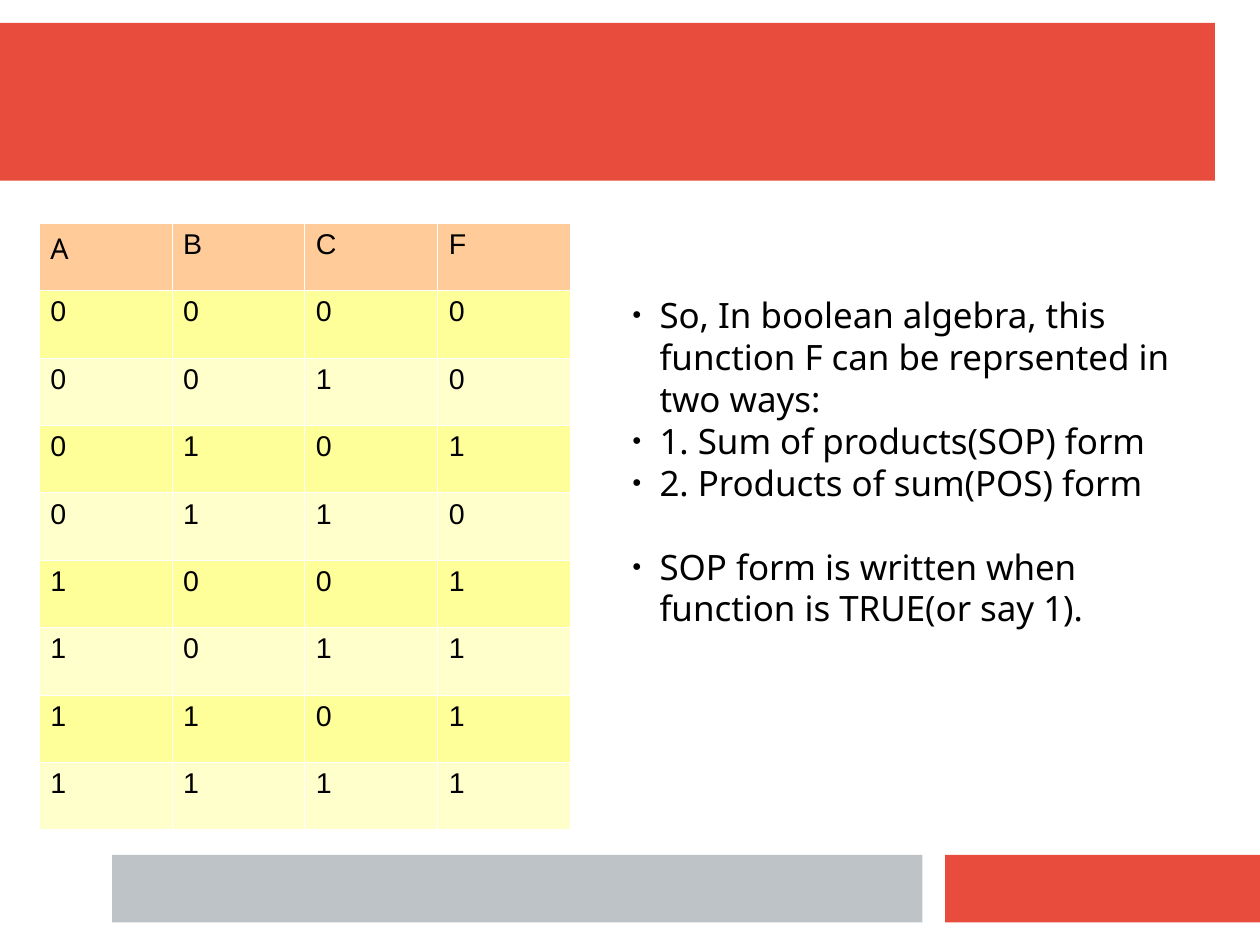
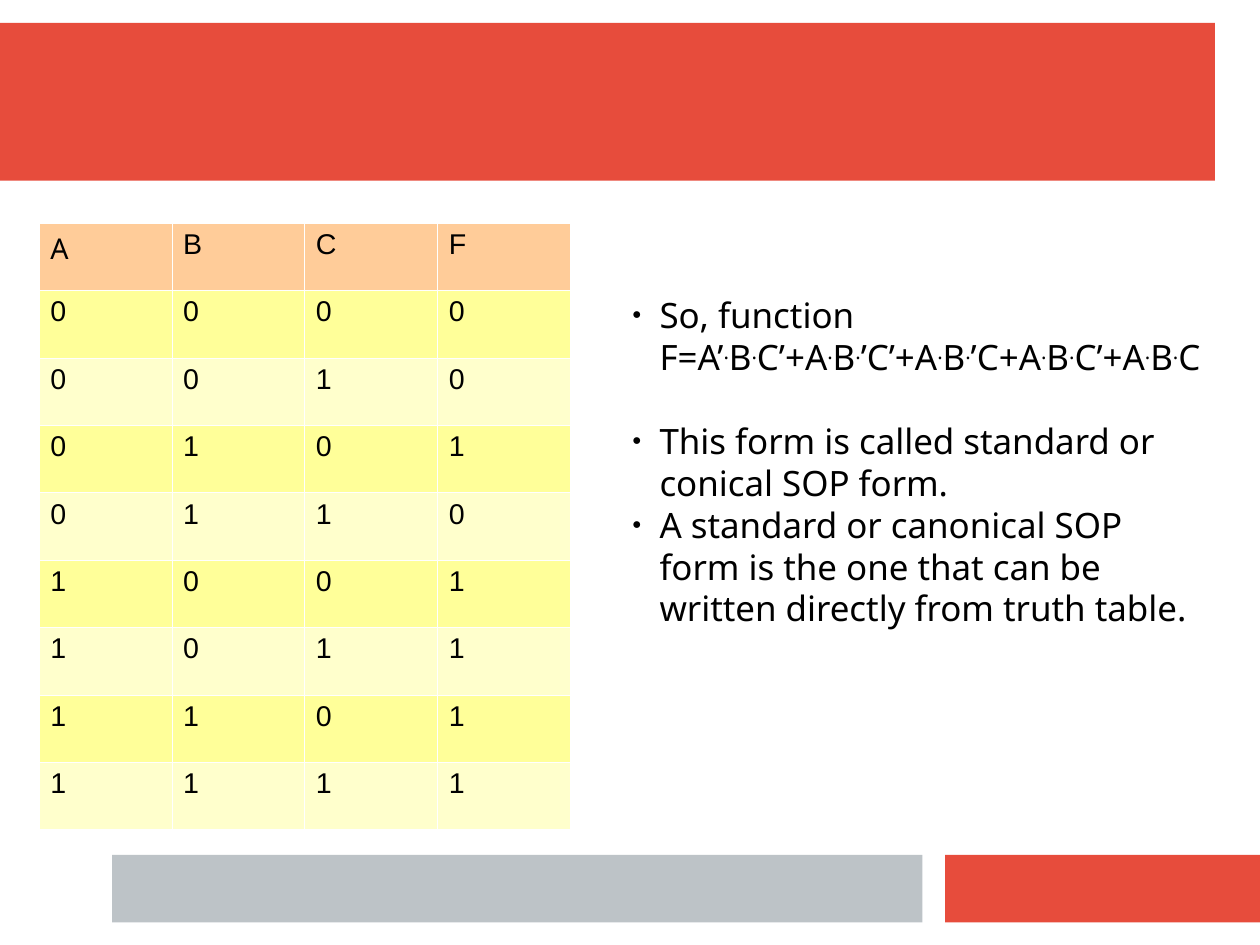
"""Builds two slides on the sum-of-products form of a truth table."""
from itertools import product

from lxml import etree
from pptx import Presentation
from pptx import util as u
from pptx.dml.color import RGBColor
from pptx.enum import shapes, text
from pptx.oxml.ns import qn

RED = RGBColor(0xE7, 0x4C, 0x3C)
GREY = RGBColor(0xBD, 0xC3, 0xC7)
BLACK = RGBColor(0, 0, 0)
WHITE = RGBColor(0xFF, 0xFF, 0xFF)
PEACH = RGBColor(0xFF, 0xCC, 0x99)
YELLOW = RGBColor(0xFF, 0xFF, 0x99)
CREAM = RGBColor(0xFF, 0xFF, 0xCC)

CM_PER_INCH = 2.54
SLIDE_SIZE = (28 / CM_PER_INCH, 21 / CM_PER_INCH)
BANDS = [((0, 0.2, 10.63, 1.38), RED),
         ((8.27, 7.48, 2.76, 0.59), RED),
         ((0.98, 7.48, 7.09, 0.59), GREY)]
TRUTH_BOX = (0.34, 1.95, 4.65, 5.31)
NOTES_BOX = (5.43, 2.52, 5.2, 4.09)

CELL_FONT = {"name": "Arial", "size": u.Pt(18)}
NOTE_FONT = {"name": "Noto Sans", "size": u.Pt(22)}
NOTE_SPACING = {"line_spacing": 1.0, "space_before": u.Pt(0), "space_after": u.Pt(0)}
NOTE_FRAME = {"word_wrap": True, "auto_size": text.MSO_AUTO_SIZE.NONE,
              "vertical_anchor": text.MSO_ANCHOR.TOP}
GROUP_GAP = u.Pt(26.4)
BORDER_WIDTH = u.Pt(0.06)
HANGING = u.Inches(0.24)
AND_DOT = "·"

OUTPUTS = (0, 0, 1, 0, 1, 1, 1, 1)
TRUTH_ROWS = [("A", "B", "C", "F")] + [
    (*inputs, output) for inputs, output in zip(product((0, 1), repeat=3), OUTPUTS)]

NOTES = [
    [["So, In boolean algebra, this function F can be reprsented in two ways:",
      "1. Sum of products(SOP) form",
      "2. Products of sum(POS) form"],
     ["SOP form is written when function is TRUE(or say 1)."]],
    [["So, function F=A’·B·C’+A·B·’C’+A·B·’C+A·B·C’+A·B·C"],
     ["This form is called standard or conical SOP form.",
      "A standard or canonical SOP form is the one that can be "
      "written directly from truth table."]],
]


def inches(box):
    """Return the box as lengths."""
    return [u.Inches(length) for length in box]


def apply(target, values):
    """Set each named attribute on the target."""
    for name, value in values.items():
        setattr(target, name, value)


def add_run(paragraph, words, font, raised=False):
    """Append black words, raised when they mark a product."""
    run = paragraph.add_run()
    run.text = words
    apply(run.font, font)
    run.font.color.rgb = BLACK
    if raised:
        run.font._element.set("baseline", "33000")


def add_master_bands(master, slide):
    """Draw the coloured bands and hand them to the master."""
    for position, (box, colour) in enumerate(BANDS, start=2):
        band = slide.shapes.add_shape(shapes.MSO_SHAPE.RECTANGLE, *inches(box))
        band.shadow.inherit = False
        band.fill.solid()
        band.fill.fore_color.rgb = colour
        band.line.fill.background()
        master.shapes._spTree.insert(position, band._element)


def add_borders(cell):
    """Give all four sides of the cell a white hairline."""
    properties = cell._tc.get_or_add_tcPr()
    for position, side in enumerate(("lnL", "lnR", "lnT", "lnB")):
        line = etree.Element(qn(f"a:{side}"), w=str(int(BORDER_WIDTH)))
        fill = etree.SubElement(line, qn("a:solidFill"))
        etree.SubElement(fill, qn("a:srgbClr"), val=str(WHITE))
        properties.insert(position, line)


def add_truth_table(slide, box):
    """Fill the box with the truth table of F."""
    frame = slide.shapes.add_table(len(TRUTH_ROWS), len(TRUTH_ROWS[0]), *inches(box))
    table = frame.table
    apply(table, {"first_row": False, "horz_banding": False})
    for row, values in enumerate(TRUTH_ROWS):
        colour = PEACH if row == 0 else (CREAM, YELLOW)[row % 2]
        for column, value in enumerate(values):
            cell = table.cell(row, column)
            cell.fill.solid()
            cell.fill.fore_color.rgb = colour
            add_borders(cell)
            font = dict(CELL_FONT, name="Noto Sans") if value == "A" else CELL_FONT
            add_run(cell.text_frame.paragraphs[0], str(value), font)


def add_bullet(paragraph):
    """Give the paragraph a small black bullet and a hanging indent."""
    properties = paragraph._p.get_or_add_pPr()
    properties.set("marL", str(int(HANGING)))
    properties.set("indent", str(-int(HANGING)))
    colour = etree.SubElement(properties, qn("a:buClr"))
    etree.SubElement(colour, qn("a:srgbClr"), val=str(BLACK))
    etree.SubElement(properties, qn("a:buSzPct"), val="45000")
    etree.SubElement(properties, qn("a:buChar"), char="●")


def add_notes(slide, box, groups):
    """Write groups of bullets into the body placeholder."""
    body = slide.placeholders[1]
    apply(body, dict(zip(("left", "top", "width", "height"), inches(box))))
    frame = body.text_frame
    apply(frame, NOTE_FRAME)
    for group_number, group in enumerate(groups):
        for number, note in enumerate(group):
            first = group_number == number == 0
            paragraph = frame.paragraphs[0] if first else frame.add_paragraph()
            apply(paragraph, NOTE_SPACING)
            if group_number and number == 0:
                paragraph.space_before = GROUP_GAP
            add_bullet(paragraph)
            for part_number, part in enumerate(note.split(AND_DOT)):
                if part_number:
                    add_run(paragraph, ".", NOTE_FONT, raised=True)
                add_run(paragraph, part, NOTE_FONT)


def add_truth_slide(deck, groups):
    """Add a slide with the truth table beside its notes."""
    slide = deck.slides.add_slide(deck.slide_layouts[1])
    title = slide.shapes.title._element
    title.getparent().remove(title)
    add_truth_table(slide, TRUTH_BOX)
    add_notes(slide, NOTES_BOX, groups)
    return slide


def main():
    """Build and save the deck."""
    deck = Presentation()
    deck.slide_width, deck.slide_height = inches(SLIDE_SIZE)
    truth_slides = [add_truth_slide(deck, groups) for groups in NOTES]
    add_master_bands(deck.slide_master, truth_slides[0])
    deck.save("out.pptx")


main()
